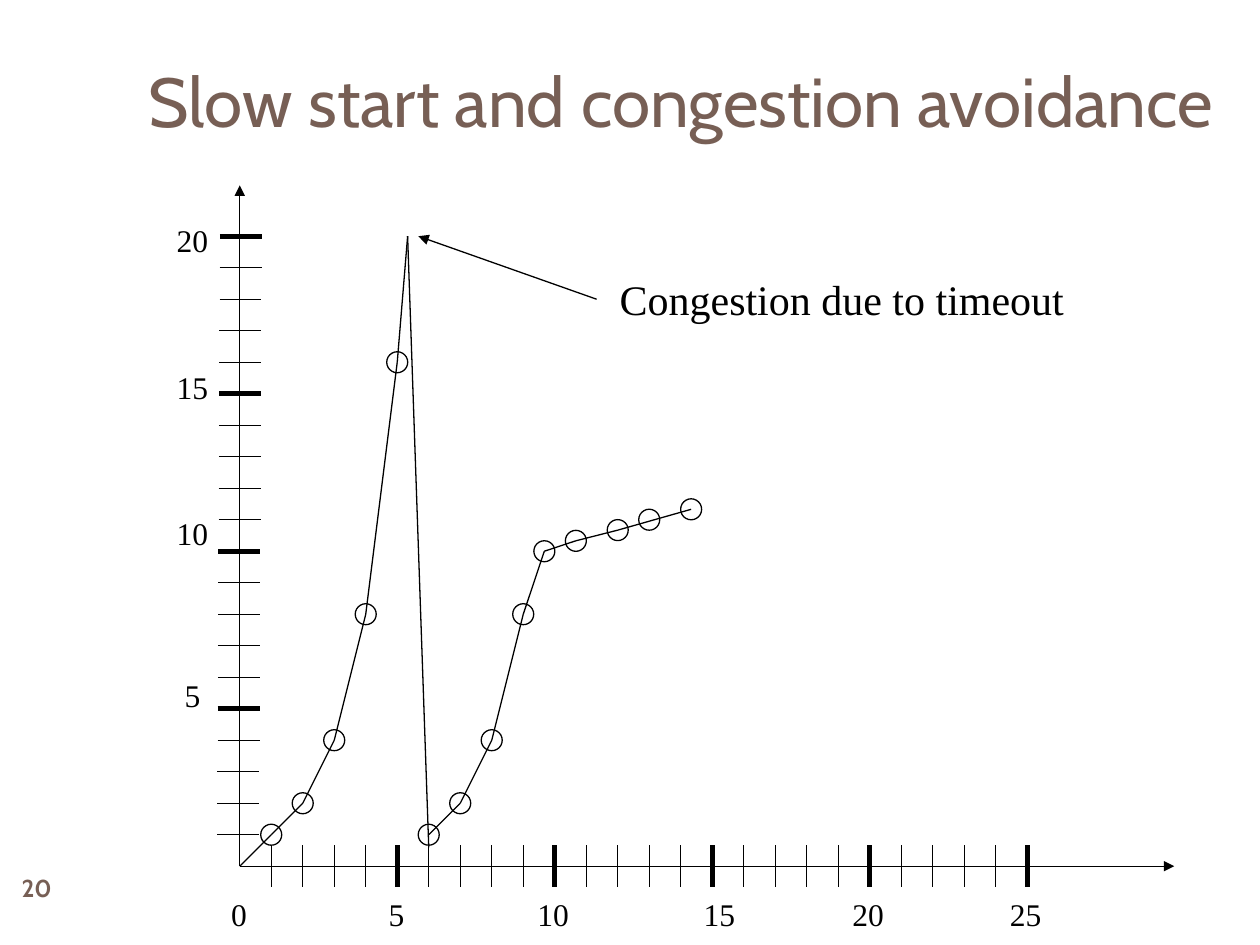
from dataclasses import dataclass
from itertools import pairwise

from pptx import Presentation
from pptx.dml.color import RGBColor
from pptx.enum.shapes import MSO_CONNECTOR, MSO_SHAPE
from pptx.enum.text import MSO_ANCHOR, PP_ALIGN
from pptx.oxml.ns import qn
from pptx.slide import Slide
from pptx.text.text import _Paragraph as Paragraph
from pptx.util import Pt
from lxml.etree import SubElement

BLACK = RGBColor(0x00, 0x00, 0x00)
BROWN = RGBColor(0x77, 0x5F, 0x55)
SERIF = "Times New Roman"
SANS = "Cabin"

ORIGIN_X, ORIGIN_Y = 137, 495
UNIT = 18
TICK = 24
TICK_DRIFT = 0.08
MARKER = 12

SLOW_START = [(1, 1), (2, 2), (3, 4), (4, 8), (5, 16)]
RESTART = [(6, 1), (7, 2), (8, 4), (9, 8), (9.67, 10)]
AVOIDANCE = [(10.67, 10.33), (12, 10.67), (13, 11), (14.33, 11.33)]
PEAK = (5.33, 20)
RISE_AND_DROP = [(0, 0), *SLOW_START, PEAK, (6, 0.6)]
RECOVERY = RESTART + [p for p in AVOIDANCE if p != (13, 11)]


@dataclass
class Label:
    text: str
    left: float
    top: float
    width: float
    height: float
    size: float
    font: str = SERIF
    color: RGBColor = BLACK
    bold: bool = False
    align: PP_ALIGN = PP_ALIGN.LEFT
    anchor: MSO_ANCHOR = MSO_ANCHOR.TOP
    gaps: tuple[float, ...] = ()
    tabs: tuple[float, ...] = ()


LABELS = [
    Label("20", 0, 492, 42, 30, 14, SANS, BROWN, True,
          PP_ALIGN.CENTER, MSO_ANCHOR.MIDDLE),
    Label("Slow start and congestion avoidance", 78, 18, 642, 78, 39.6,
          SANS, BROWN, anchor=MSO_ANCHOR.MIDDLE),
    Label("20\n15\n10\n5", 89, 123, 42, 335, 18,
          align=PP_ALIGN.CENTER, gaps=(62, 62, 71)),
    Label("Congestion due to timeout", 347, 153, 270, 36, 24),
    Label("0\t5\t10\t15\t20\t25", 125, 508, 486, 29, 18,
          tabs=(90, 175, 270, 355, 445)),
]


def to_slide(x: float, y: float) -> tuple[float, float]:
    return ORIGIN_X + x * UNIT, ORIGIN_Y - y * UNIT


def add_line(s: Slide, start: tuple[float, float], end: tuple[float, float],
             width: float = 0.75, arrow: bool = False) -> None:
    c = s.shapes.add_connector(
        MSO_CONNECTOR.STRAIGHT, *(Pt(v) for v in (*start, *end)))
    c.line.color.rgb = BLACK
    c.line.width = Pt(width)
    if arrow:
        SubElement(c.line._get_or_add_ln(), qn("a:tailEnd"), type="triangle")
    SubElement(c._element.spPr, qn("a:effectLst"))


def add_curve(s: Slide, points: list[tuple[float, float]]) -> None:
    for start, end in pairwise(points):
        add_line(s, to_slide(*start), to_slide(*end))


def add_marker(s: Slide, point: tuple[float, float]) -> None:
    x, y = to_slide(*point)
    sp = s.shapes.add_shape(MSO_SHAPE.OVAL, Pt(x - MARKER / 2),
                            Pt(y - MARKER / 2), Pt(MARKER), Pt(MARKER))
    sp.shadow.inherit = False
    sp.fill.background()
    sp.line.color.rgb = BLACK
    sp.line.width = Pt(0.75)


def add_tabs(p: Paragraph, positions: tuple[float, ...]) -> None:
    tab_list = SubElement(p._p.get_or_add_pPr(), qn("a:tabLst"))
    for position in positions:
        SubElement(tab_list, qn("a:tab"), pos=str(Pt(position)), algn="l")


def add_label(s: Slide, label: Label) -> None:
    box = s.shapes.add_textbox(Pt(label.left), Pt(label.top),
                               Pt(label.width), Pt(label.height))
    tf = box.text_frame
    tf.word_wrap = True
    tf.vertical_anchor = label.anchor
    tf.text = label.text
    for p, gap in zip(tf.paragraphs[1:], label.gaps):
        p.space_before = Pt(gap)
    for p in tf.paragraphs:
        p.alignment = label.align
        if label.tabs:
            add_tabs(p, label.tabs)
        for r in p.runs:
            r.font.name = label.font
            r.font.size = Pt(label.size)
            r.font.bold = label.bold
            r.font.color.rgb = label.color


def tick_width(value: int) -> float:
    return 3 if value % 5 == 0 else 0.75


def add_axes(s: Slide) -> None:
    add_line(s, (ORIGIN_X, ORIGIN_Y), (671, ORIGIN_Y), arrow=True)
    add_line(s, (ORIGIN_X, ORIGIN_Y), (ORIGIN_X, 106), arrow=True)
    for value in range(1, 26):
        x, y = to_slide(value, 0)
        add_line(s, (x, y - TICK / 2), (x, y + TICK / 2), tick_width(value))
    for value in range(1, 21):
        x, y = to_slide(0, value)
        left = x - 13 + TICK_DRIFT * value
        add_line(s, (left, y), (left + TICK, y), tick_width(value))


def main() -> None:
    prs = Presentation()
    prs.slide_width, prs.slide_height = Pt(720), Pt(540)
    s = prs.slides.add_slide(prs.slide_layouts[6])
    add_axes(s)
    for point in SLOW_START + RESTART + AVOIDANCE:
        add_marker(s, point)
    for points in (RISE_AND_DROP, RECOVERY):
        add_curve(s, points)
    add_line(s, to_slide(11.33, 18), to_slide(5.67, 20), arrow=True)
    for label in LABELS:
        add_label(s, label)
    prs.save("out.pptx")


if __name__ == "__main__":
    main()
